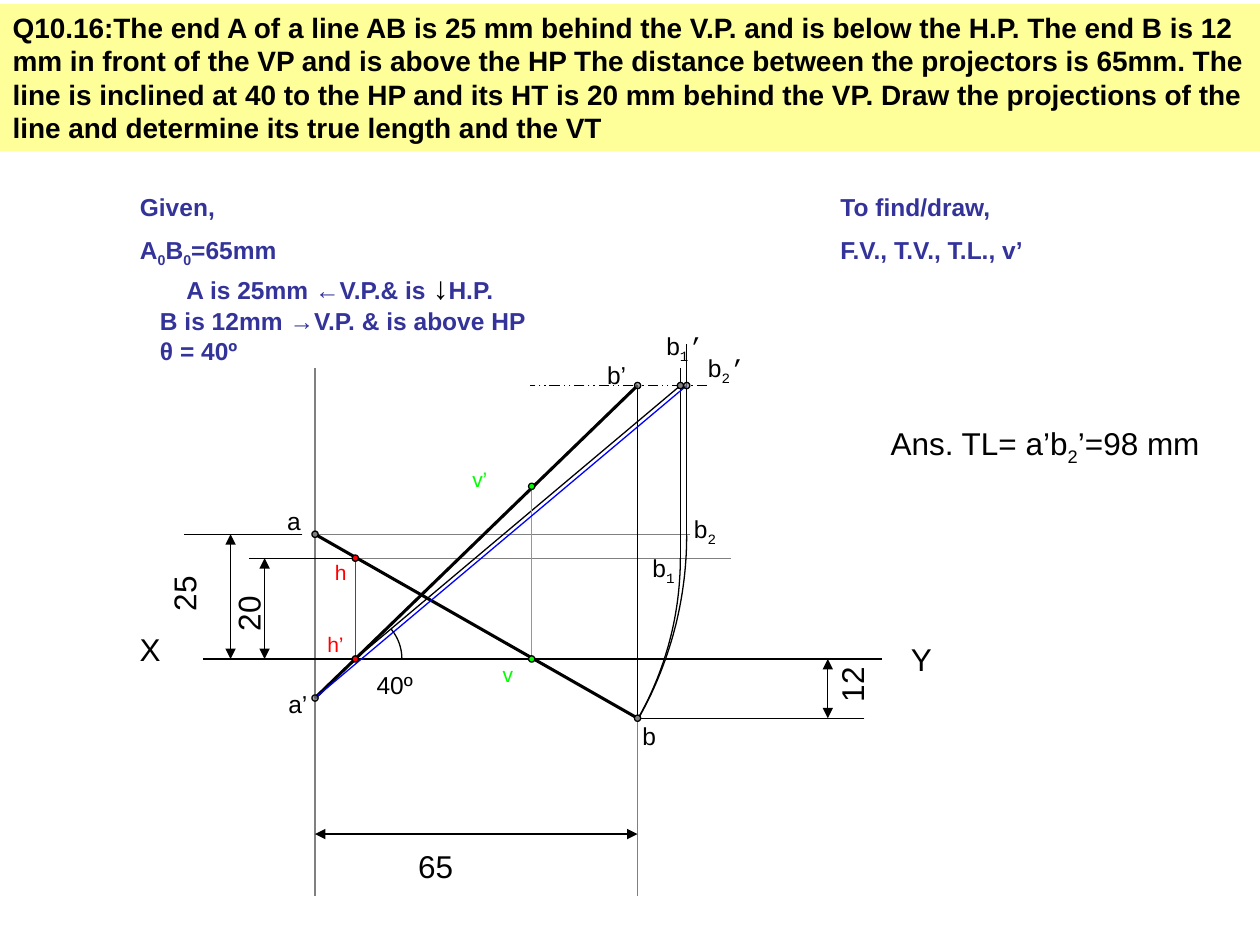
import math
from lxml import etree
from pptx import Presentation
from pptx.dml.color import RGBColor
from pptx.enum.dml import MSO_LINE
from pptx.enum.shapes import MSO_CONNECTOR, MSO_SHAPE
from pptx.enum.text import MSO_ANCHOR, MSO_AUTO_SIZE, PP_ALIGN
from pptx.oxml.ns import qn
from pptx.util import Inches, Pt

LINE = MSO_CONNECTOR.STRAIGHT
OVAL = MSO_SHAPE.OVAL
DASH = MSO_LINE.DASH_DOT_DOT
LEFT = PP_ALIGN.LEFT
TOP = MSO_ANCHOR.TOP
FIXED = MSO_AUTO_SIZE.NONE
BLACK = RGBColor(0, 0, 0)
GRAY = RGBColor(0x80, 0x80, 0x80)
RED = RGBColor(0xFF, 0, 0)
GREEN = RGBColor(0, 0xFF, 0)
BLUE = RGBColor(0, 0, 0xFF)
NAVY = RGBColor(0x33, 0x33, 0x99)
CREAM = RGBColor(0xFF, 0xFF, 0x99)

AXIS = 5.23
LEVEL = 3.06
A_X, B_X, H_X, V_X = 2.5, 5.06, 2.82, 4.22
B1_X, B2_X = 5.4, 5.45
A_TOP, A_FRONT = (A_X, 4.24), (A_X, 5.54)
B_TOP, B_FRONT = (B_X, 5.7), (B_X, LEVEL)
H_TOP, H_FRONT = (H_X, 4.43), (H_X, AXIS)
V_TOP, V_FRONT = (V_X, AXIS), (V_X, 3.86)
TASK = (
    "Q10.16:The end A of a line AB is 25 mm behind the V.P. and is below the H.P. "
    "The end B is 12 mm in front of the VP and is above the HP "
    "The distance between the projectors is 65mm. "
    "The line is inclined at 40 to the HP and its HT is 20 mm behind the VP. "
    "Draw the projections of the line and determine its true length and the VT"
)


def add_text(para, text, size, color, bold=False, tail="Arial"):
    parts = text.split("_")
    pieces = [(parts[0], False)]
    for part in parts[1:]:
        pieces += [(part[0], True), (part[1:], False)]
    face = "Arial"
    for piece, sub in pieces:
        if not piece:
            continue
        if sub:
            face = tail
        run = para.add_run()
        run.text = piece
        run.font.name = face
        run.font.size = Pt(size)
        run.font.bold = bold
        run.font.color.rgb = color
        if sub:
            run._r.get_or_add_rPr().set("baseline", "-25000")


def place(shape, left, top, width, height):
    shape.left, shape.top = Inches(left), Inches(top)
    shape.width, shape.height = Inches(width), Inches(height)
    frame = shape.text_frame
    frame.word_wrap = True
    frame.auto_size = FIXED
    frame.vertical_anchor = TOP
    return frame


def add_title(slide):
    title = slide.shapes.title
    title.fill.solid()
    title.fill.fore_color.rgb = CREAM
    frame = place(title, 0, 0.03, 10, 1.17)
    frame.paragraphs[0].alignment = LEFT
    add_text(frame.paragraphs[0], TASK, 16, BLACK, True)


def add_list(shape, box, rows):
    frame = place(shape, *box)
    for i, (indent, gap, parts) in enumerate(rows):
        para = frame.add_paragraph() if i else frame.paragraphs[0]
        props = para._p.get_or_add_pPr()
        props.set("marL", str(Inches(indent)))
        props.set("indent", "0")
        etree.SubElement(props, qn("a:buNone"))
        para.space_before = Pt(gap)
        for text, size, color in parts:
            add_text(para, text, size, color, True)


def add_label(slide, text, left, top, width=0.47, size=14, color=BLACK, turn=0, tail="Arial"):
    height = {12: 0.3, 14: 0.33, 18: 0.4}[size]
    box = slide.shapes.add_textbox(Inches(left), Inches(top), Inches(width), Inches(height))
    box.rotation = turn
    box.text_frame.word_wrap = True
    add_text(box.text_frame.paragraphs[0], text, size, color, tail=tail)


def add_line(slide, start, end, color=BLACK, width=0.75, dash=None, arrows=False):
    ends = [Inches(n) for n in start + end]
    line = slide.shapes.add_connector(LINE, *ends)
    line.line.color.rgb = color
    line.line.width = Pt(width)
    if dash:
        line.line.dash_style = dash
    if arrows:
        for tag in ("a:headEnd", "a:tailEnd"):
            etree.SubElement(line.line._get_or_add_ln(), qn(tag), type="triangle")
    etree.SubElement(line._element.spPr, qn("a:effectLst"))


def add_dot(slide, point, color=GRAY, alpha=100):
    size = 0.05
    left, top = (Inches(n - size / 2) for n in point)
    dot = slide.shapes.add_shape(OVAL, left, top, Inches(size), Inches(size))
    dot.shadow.inherit = False
    dot.fill.solid()
    dot.fill.fore_color.rgb = color
    dot.line.color.rgb = BLACK
    dot.line.width = Pt(0.75)
    if alpha < 100:
        tint = dot._element.spPr.find(qn("a:solidFill"))[0]
        etree.SubElement(tint, qn("a:alpha"), val=str(alpha * 1000))


def add_arc(slide, center, radius, start, end):
    steps = 30
    points = []
    for i in range(steps + 1):
        angle = math.radians(start + (end - start) * i / steps)
        x = center[0] + radius * math.cos(angle)
        y = center[1] + radius * math.sin(angle)
        points.append((Inches(x), Inches(y)))
    path = slide.shapes.build_freeform(*points[0])
    path.add_line_segments(points[1:], close=False)
    arc = path.convert_to_shape()
    arc.shadow.inherit = False
    arc.fill.background()
    arc.line.color.rgb = BLACK
    arc.line.width = Pt(0.75)


def add_lines(slide):
    for start, end in [
        ((A_X, 2.92), (A_X, 7.11)), ((B_X, 4.67), (B_X, 7.11)),
        (H_TOP, (5.8, 4.43)), (A_TOP, (5.48, 4.24)),
    ]:
        add_line(slide, start, end, GRAY)
    for start, end in [
        ((1.61, AXIS), (7, AXIS)), ((2.4, 4.24), (1.46, 4.24)),
        ((6.86, 5.7), B_TOP), ((1.98, 4.43), H_TOP),
        ((B1_X, 4.43), (B1_X, 2.92)), ((B2_X, 4.25), (B2_X, 2.73)),
        (H_FRONT, (B1_X, LEVEL)), (B_TOP, B_FRONT),
    ]:
        add_line(slide, start, end)
    for start, end in [
        ((A_X, 6.62), (B_X, 6.62)), ((1.83, 4.24), (1.83, AXIS)),
        ((6.57, AXIS), (6.57, 5.7)), ((2.1, AXIS), (2.1, 4.43)),
    ]:
        add_line(slide, start, end, arrows=True)
    add_line(slide, (5.61, LEVEL), (4.21, LEVEL), dash=DASH)
    add_line(slide, H_TOP, H_FRONT, RED)
    add_line(slide, V_TOP, V_FRONT, GREEN)
    add_line(slide, A_TOP, B_TOP, width=1.75)
    add_line(slide, B_FRONT, A_FRONT, width=1.75)
    add_line(slide, A_FRONT, (B2_X, LEVEL), BLUE)


def add_labels(slide):
    for text, left, top, turn in [
        ("X", 1.01, 4.95, 0), ("Y", 7.13, 5.03, 0), ("65", 3.22, 6.67, 0),
        ("25", 1.22, 4.51, 270), ("20", 1.73, 4.67, 270), ("12", 6.52, 5.23, 270),
    ]:
        add_label(slide, text, left, top, 0.48, 18, turn=turn)
    for text, left, top in [
        ("a", 2.18, 3.97), ("b", 5, 5.67), ("b’", 4.72, 2.81), ("a’", 2.19, 5.42),
    ]:
        add_label(slide, text, left, top)
    for text, left, top in [
        ("b_1", 5.08, 4.34), ("b_1’", 5.19, 2.58), ("b_2", 5.41, 4.03), ("b_2’", 5.52, 2.75),
    ]:
        add_label(slide, text, left, top, 0.56, tail="Courier New")
    for text, left, top, color in [
        ("h", 2.56, 4.39, RED), ("h’", 2.5, 4.96, RED),
        ("v", 3.89, 5.2, GREEN), ("v’", 3.65, 3.65, GREEN),
    ]:
        add_label(slide, text, left, top, size=12, color=color)
    add_label(slide, "40º", 2.89, 5.27, 0.67)
    add_label(slide, "Ans. TL= a’b_2’=98 mm", 6.97, 3.32, 3.03, 18)


def main():
    deck = Presentation()
    deck.slide_width, deck.slide_height = Inches(10), Inches(7.5)
    slide = deck.slides.add_slide(deck.slide_layouts[3])
    add_title(slide)
    given, find = slide.placeholders[1], slide.placeholders[2]
    add_list(given, (1.01, 1.47, 3.43, 1.45), [
        (0, 0, [("Given,", 14, NAVY)]),
        (0, 8, [("A_0B_0=65mm", 14, NAVY)]),
        (0.37, 0, [("A is 25mm ←V.P.& is ", 14, NAVY), ("↓", 18, BLACK), ("H.P.", 14, NAVY)]),
        (0.16, 0, [("B is 12mm →V.P. & is above HP", 14, NAVY)]),
        (0.16, 0, [("θ = 40º", 14, NAVY)]),
    ])
    add_list(find, (6.57, 1.47, 2.75, 0.68), [
        (0, 0, [("To find/draw,", 14, NAVY)]),
        (0, 8, [("F.V., T.V., T.L., v’", 14, NAVY)]),
    ])
    add_lines(slide)
    add_arc(slide, H_TOP, B1_X - H_X, 0, 29.5)
    add_arc(slide, (A_X, 4.25), B2_X - A_X, 0, 29.4)
    add_arc(slide, H_FRONT, 0.37, -40, 0)
    for point, color, alpha in [
        (A_TOP, GRAY, 100), (B_TOP, GRAY, 100), ((B1_X, LEVEL), GRAY, 100),
        (B_FRONT, GRAY, 65), (A_FRONT, GRAY, 68), ((B2_X, LEVEL), GRAY, 68),
        (H_TOP, RED, 100), (H_FRONT, RED, 100), (V_TOP, GREEN, 100), (V_FRONT, GREEN, 100),
    ]:
        add_dot(slide, point, color, alpha)
    add_labels(slide)
    deck.save("out.pptx")


if __name__ == "__main__":
    main()
